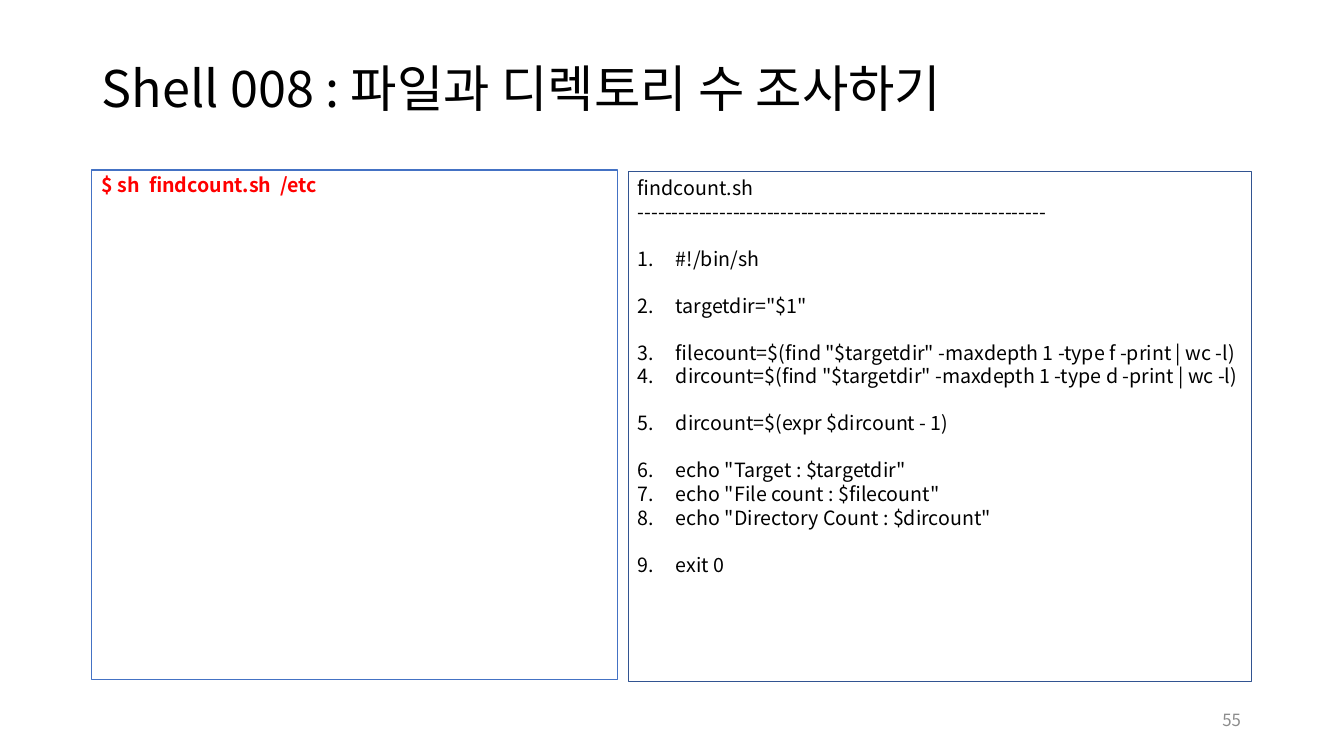
from lxml.etree import SubElement as Sub
from pptx import Presentation
from pptx.dml.color import RGBColor as RGB
from pptx.enum.shapes import MSO_SHAPE as Kind
from pptx.enum.text import MSO_ANCHOR as Anchor, PP_ALIGN as Align
from pptx.oxml.ns import qn
from pptx.util import Pt

FONT = "Noto Sans CJK KR"
BLACK = RGB(0, 0, 0)
RED = RGB(255, 0, 0)
GRAY = RGB(0x8C, 0x8C, 0x8C)
BLUE = RGB(0x44, 0x72, 0xC4)
NAVY = RGB(0x32, 0x54, 0x91)

TITLE = "Shell 008 : 파일과 디렉토리 수 조사하기"
USAGE = "$ sh  findcount.sh  /etc"
PAGE = "55"
HEAD = ["findcount.sh", "-" * 60]
CODE = [
    ["#!/bin/sh"],
    ['targetdir="$1"'],
    [
        'filecount=$(find "$targetdir" -maxdepth 1 -type f -print | wc -l)',
        'dircount=$(find "$targetdir" -maxdepth 1 -type d -print | wc -l)',
    ],
    ["dircount=$(expr $dircount - 1)"],
    [
        'echo "Target : $targetdir"',
        'echo "File count : $filecount"',
        'echo "Directory Count : $dircount"',
    ],
    ["exit 0"],
]

SCALE = 914400 / 100.8
PITCH = Pt(16.8)
INDENT = 38


def emu(px):
    return round(px * SCALE)


def setup(frame, anchor):
    frame.word_wrap = True
    frame.vertical_anchor = anchor
    return frame


def label(slide, rect, anchor):
    box = slide.shapes.add_textbox(*map(emu, rect))
    return setup(box.text_frame, anchor)


def panel(slide, rect, color, width):
    box = slide.shapes.add_shape(Kind.RECTANGLE, *map(emu, rect))
    box.shadow.inherit = False
    box.fill.background()
    box.line.color.rgb = color
    box.line.width = Pt(width)
    return setup(box.text_frame, Anchor.TOP)


def write(para, text, size=14, color=BLACK, bold=False,
          pitch=None, align=Align.LEFT):
    para.text = text
    para.alignment = align
    para.line_spacing = pitch
    font = para.font
    font.size = Pt(size)
    font.bold = bold
    font.color.rgb = color
    font.name = FONT
    props = para._p.pPr.find(qn("a:defRPr"))
    Sub(props, qn("a:ea"), typeface=FONT)


def number(para):
    props = para._p.get_or_add_pPr()
    props.set("marL", str(emu(INDENT)))
    props.set("indent", str(-emu(INDENT)))
    Sub(props, qn("a:buFont"), typeface="+mj-lt")
    Sub(props, qn("a:buAutoNum"), type="arabicPeriod")


def main():
    deck = Presentation()
    deck.slide_width, deck.slide_height = emu(1344), emu(756)
    slide = deck.slides.add_slide(deck.slide_layouts[6])

    title = label(slide, (92, 40, 1159, 102), Anchor.MIDDLE)
    write(title.paragraphs[0], TITLE, 36, pitch=0.9)

    usage = panel(slide, (92, 170, 526, 510), BLUE, 0.75)
    write(usage.paragraphs[0], USAGE, color=RED, bold=True, pitch=Pt(15))

    page = label(slide, (949, 700, 302, 40), Anchor.MIDDLE)
    write(page.paragraphs[0], PAGE, 12, GRAY, align=Align.RIGHT)

    script = panel(slide, (628, 171, 623, 510), NAVY, 0.25)
    first, second = script.paragraphs[0], script.add_paragraph()
    for para, text in zip((first, second), HEAD):
        write(para, text, pitch=PITCH)
    for block in CODE:
        for row, text in enumerate(block):
            para = script.add_paragraph()
            number(para)
            write(para, text, pitch=PITCH)
            if row == 0:
                para.space_before = PITCH

    deck.save("out.pptx")


if __name__ == "__main__":
    main()
